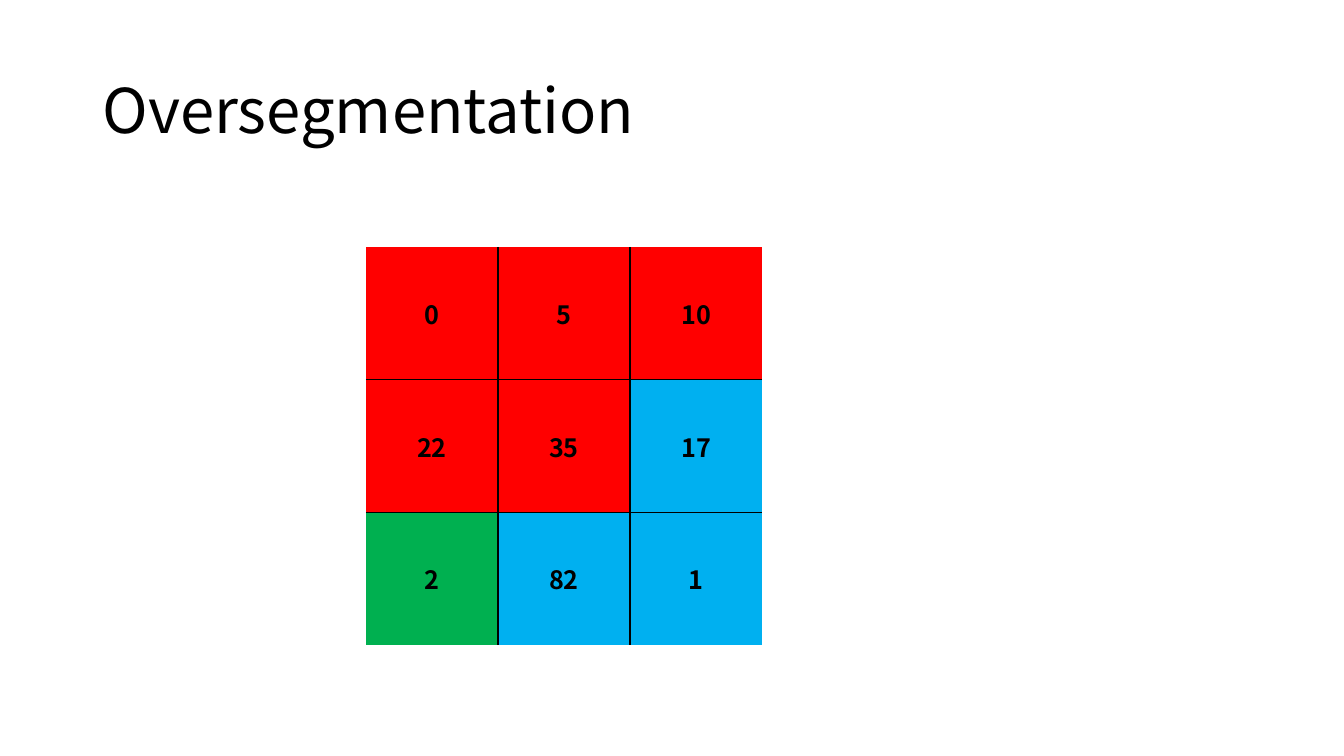
from dataclasses import dataclass

from lxml import etree
from pptx import Presentation
from pptx.dml.color import RGBColor
from pptx.enum.text import MSO_ANCHOR, MSO_AUTO_SIZE, PP_ALIGN
from pptx.oxml.ns import qn
from pptx.util import Pt

LEFT, CENTER = PP_ALIGN.LEFT, PP_ALIGN.CENTER
MIDDLE = MSO_ANCHOR.MIDDLE
NO_FIT = MSO_AUTO_SIZE.NONE
TITLE_ONLY = 5


@dataclass(frozen=True)
class Theme:
    font: str = "Noto Sans CJK KR"
    ink: str = "000000"
    red: str = "FF0000"
    blue: str = "00B0F0"
    green: str = "00B050"
    title: float = 44
    value: float = 18
    rule: float = 1


THEME = Theme()

# Pixel values, and the segment each one belongs to
VALUES = [[0, 5, 10], [22, 35, 17], [2, 82, 1]]
PARTS = ["RRR", "RRB", "GBB"]
FILLS = {"R": THEME.red, "B": THEME.blue, "G": THEME.green}


def apply(target, values):
    for name, value in values.items():
        setattr(target, name, value)


def style(para, size, align, bold=False):
    para.alignment = align
    apply(para.font, {"name": THEME.font, "size": Pt(size), "bold": bold})
    para.font.color.rgb = RGBColor.from_string(THEME.ink)


def set_title(slide, text, left, top, width, height):
    title = slide.shapes.title
    apply(title, {"left": Pt(left), "top": Pt(top),
                  "width": Pt(width), "height": Pt(height)})
    frame = title.text_frame
    frame.text = text
    apply(frame, {"vertical_anchor": MIDDLE, "word_wrap": True,
                  "auto_size": NO_FIT})
    para = frame.paragraphs[0]
    para.line_spacing = 0.9
    style(para, THEME.title, LEFT)


def add_edge(cell, side, shown):
    props = cell._tc.get_or_add_tcPr()
    line = etree.SubElement(props, qn(f"a:ln{side}"), w=str(Pt(THEME.rule)))
    if shown:
        fill = etree.SubElement(line, qn("a:solidFill"))
        etree.SubElement(fill, qn("a:srgbClr"), val=THEME.ink)
    else:
        etree.SubElement(line, qn("a:noFill"))


def fill_cell(cell, value, color, edges):
    # Edges come before the fill in the cell's XML
    for side, shown in edges.items():
        add_edge(cell, side, shown)
    cell.fill.solid()
    cell.fill.fore_color.rgb = RGBColor.from_string(color)
    cell.vertical_anchor = MIDDLE
    cell.text = str(value)
    style(cell.text_frame.paragraphs[0], THEME.value, CENTER, bold=True)


def add_grid(slide, left, top, width, height):
    rows, cols = len(VALUES), len(VALUES[0])
    table = slide.shapes.add_table(rows, cols, Pt(left), Pt(top),
                                   Pt(width), Pt(height)).table
    apply(table, {"first_row": False, "horz_banding": False})
    for r, row in enumerate(VALUES):
        for c, value in enumerate(row):
            # Only the inner edges are ruled
            edges = {"L": c > 0, "R": c < cols - 1,
                     "T": r > 0, "B": r < rows - 1}
            fill_cell(table.cell(r, c), value, FILLS[PARTS[r][c]], edges)


def main():
    deck = Presentation()
    apply(deck, {"slide_width": Pt(960), "slide_height": Pt(540)})
    slide = deck.slides.add_slide(deck.slide_layouts[TITLE_ONLY])
    set_title(slide, "Oversegmentation", 66, 28.75, 828, 104.4)
    add_grid(slide, 261.4, 176.4, 283, 284.4)
    deck.save("out.pptx")


if __name__ == "__main__":
    main()
